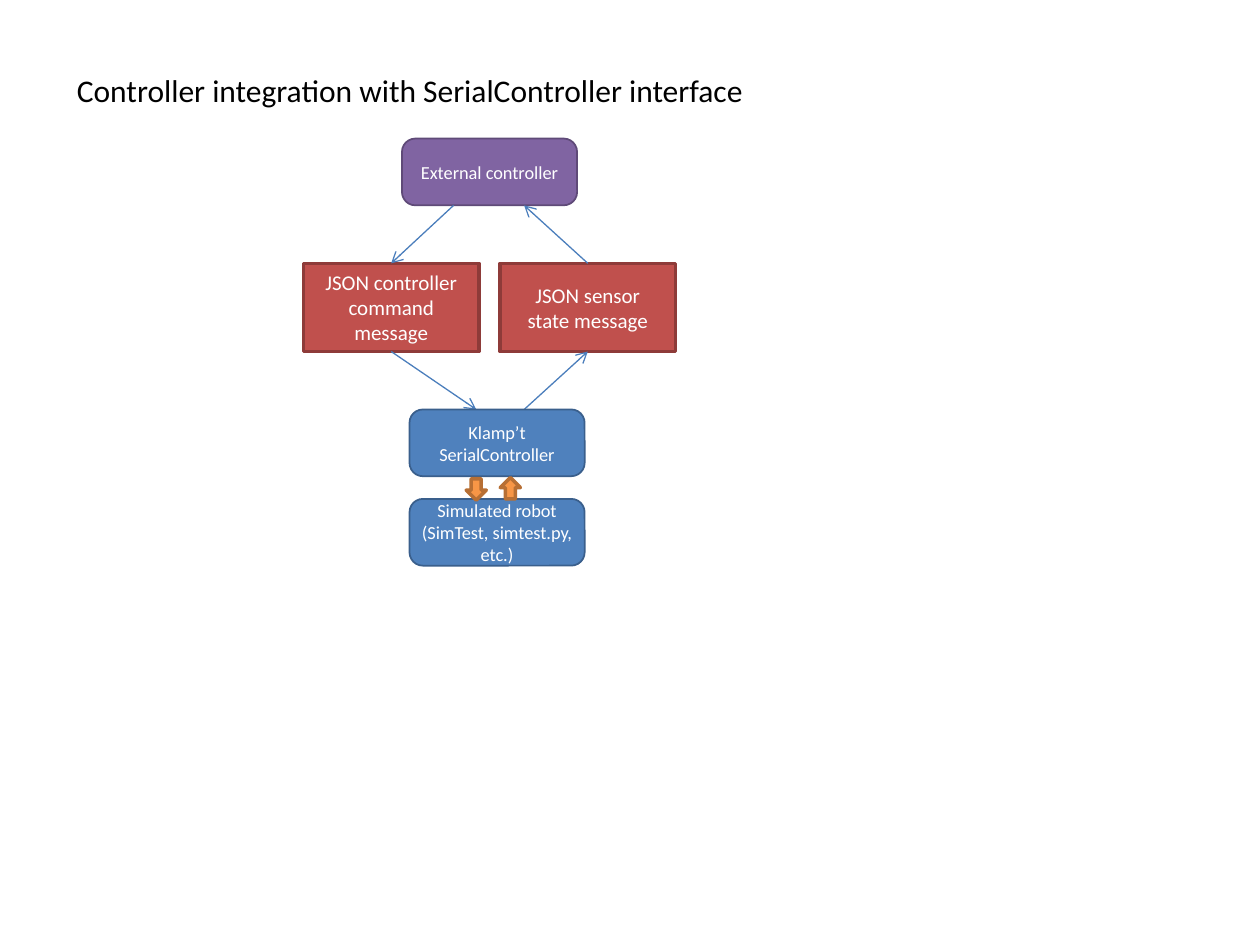
from dataclasses import dataclass

from pptx import Presentation
from pptx.dml.color import RGBColor
from pptx.enum.shapes import MSO_CONNECTOR as CONN, MSO_SHAPE as SHAPE
from pptx.enum.text import MSO_ANCHOR as ANCHOR, MSO_AUTO_SIZE as FIT, PP_ALIGN as ALIGN
from pptx.oxml.ns import qn
from pptx.util import Inches, Pt
from lxml.etree import SubElement

TOP, BOTTOM = 0, 2


@dataclass(frozen=True)
class Theme:
    font: str = "Calibri"
    title_size: float = 18
    message_size: float = 12
    module_size: float = 10.5
    text: str = "000000"
    text_on_fill: str = "FFFFFF"
    arrow: str = "4B7EBC"
    external: tuple = ("8064A2", "5F4A78")  # each pair is fill, outline
    message: tuple = ("C0504D", "8E3B39")
    module: tuple = ("4F81BD", "3A5F8C")
    exchange: tuple = ("F79646", "B76F34")


def write(tf, text, *, font, size, color, align=ALIGN.CENTER, anchor=ANCHOR.MIDDLE,
          wrap=True, inset=None):
    tf.word_wrap = wrap
    tf.vertical_anchor = anchor
    if inset is not None:
        tf.margin_left = tf.margin_right = tf.margin_top = tf.margin_bottom = Inches(inset)
    p = tf.paragraphs[0]
    p.alignment = align
    r = p.add_run()
    r.text = text
    r.font.name = font
    r.font.size = Pt(size)
    r.font.color.rgb = RGBColor.from_string(color)


class Diagram:
    BOX_W, MODULE_H, MESSAGE_H = 1.39, 0.53, 0.7

    def __init__(self, slide, theme):
        self.slide = slide
        self.theme = theme

    def title(self, text, x, y, w, h):
        t = self.theme
        sp = self.slide.shapes.title
        sp.left, sp.top, sp.width, sp.height = map(Inches, (x, y, w, h))
        write(sp.text_frame, text, font=t.font, size=t.title_size, color=t.text,
              align=ALIGN.LEFT, anchor=ANCHOR.TOP, wrap=False)
        sp.text_frame.auto_size = FIT.SHAPE_TO_FIT_TEXT

    def shape(self, kind, x, y, w, h, colors, line_width):
        sp = self.slide.shapes.add_shape(kind, *map(Inches, (x, y, w, h)))
        fill, line = map(RGBColor.from_string, colors)
        sp.shadow.inherit = False
        sp.fill.solid()
        sp.fill.fore_color.rgb = fill
        sp.line.color.rgb = line
        sp.line.width = Pt(line_width)
        return sp

    def module(self, text, x, y, colors):
        t = self.theme
        sp = self.shape(SHAPE.ROUNDED_RECTANGLE, x, y, self.BOX_W, self.MODULE_H, colors, 1)
        sp.adjustments[0] = 0.2
        write(sp.text_frame, text, font=t.font, size=t.module_size,
              color=t.text_on_fill, inset=0)
        return sp

    def message(self, text, x, y):
        t = self.theme
        sp = self.shape(SHAPE.RECTANGLE, x, y, self.BOX_W, self.MESSAGE_H, t.message, 2)
        write(sp.text_frame, text, font=t.font, size=t.message_size, color=t.text_on_fill)
        return sp

    def exchange_arrow(self, x, y, rotation=0):
        sp = self.shape(SHAPE.DOWN_ARROW, x, y, 0.16, 0.17, self.theme.exchange, 2)
        sp.rotation = rotation

    def arrow(self, box, side, x, y, inward):
        """Join the side of a box to the point (x, y); inward puts the head at the box."""
        point = Inches(x), Inches(y)
        site = box.left + box.width // 2, box.top + (box.height if side == BOTTOM else 0)
        start, end = (point, site) if inward else (site, point)
        c = self.slide.shapes.add_connector(CONN.STRAIGHT, *start, *end)
        (c.end_connect if inward else c.begin_connect)(box, side)
        c.line.color.rgb = RGBColor.from_string(self.theme.arrow)
        c.line.width = Pt(0.75)
        SubElement(c.line._get_or_add_ln(), qn("a:tailEnd"), type="arrow")
        SubElement(c._element.spPr, qn("a:effectLst"))


def main():
    prs = Presentation()
    prs.slide_width, prs.slide_height = Inches(10), Inches(7.5)
    theme = Theme()
    d = Diagram(prs.slides.add_slide(prs.slide_layouts[5]), theme)

    external_y, message_y, serial_y, robot_y = 1.1, 2.09, 3.25, 3.96
    external_bottom = external_y + d.MODULE_H

    d.title("Controller integration with SerialController interface", 0.51, 0.51, 5.55, 0.4)
    d.module("External controller", 3.19, external_y, theme.external)
    command = d.message("JSON controller command message", 2.41, message_y)
    sensor = d.message("JSON sensor state message", 3.97, message_y)

    d.arrow(command, BOTTOM, 3.78, serial_y, inward=False)
    d.arrow(sensor, BOTTOM, 4.16, serial_y, inward=True)
    d.arrow(sensor, TOP, 4.16, external_bottom, inward=False)
    d.arrow(command, TOP, 3.6, external_bottom, inward=True)

    d.module("Klamp’t SerialController", 3.25, serial_y, theme.module)
    d.module("Simulated robot (SimTest, simtest.py, etc.)", 3.25, robot_y, theme.module)
    d.exchange_arrow(3.7, 3.8)
    d.exchange_arrow(3.97, 3.79, rotation=180)

    prs.save("out.pptx")


if __name__ == "__main__":
    main()
